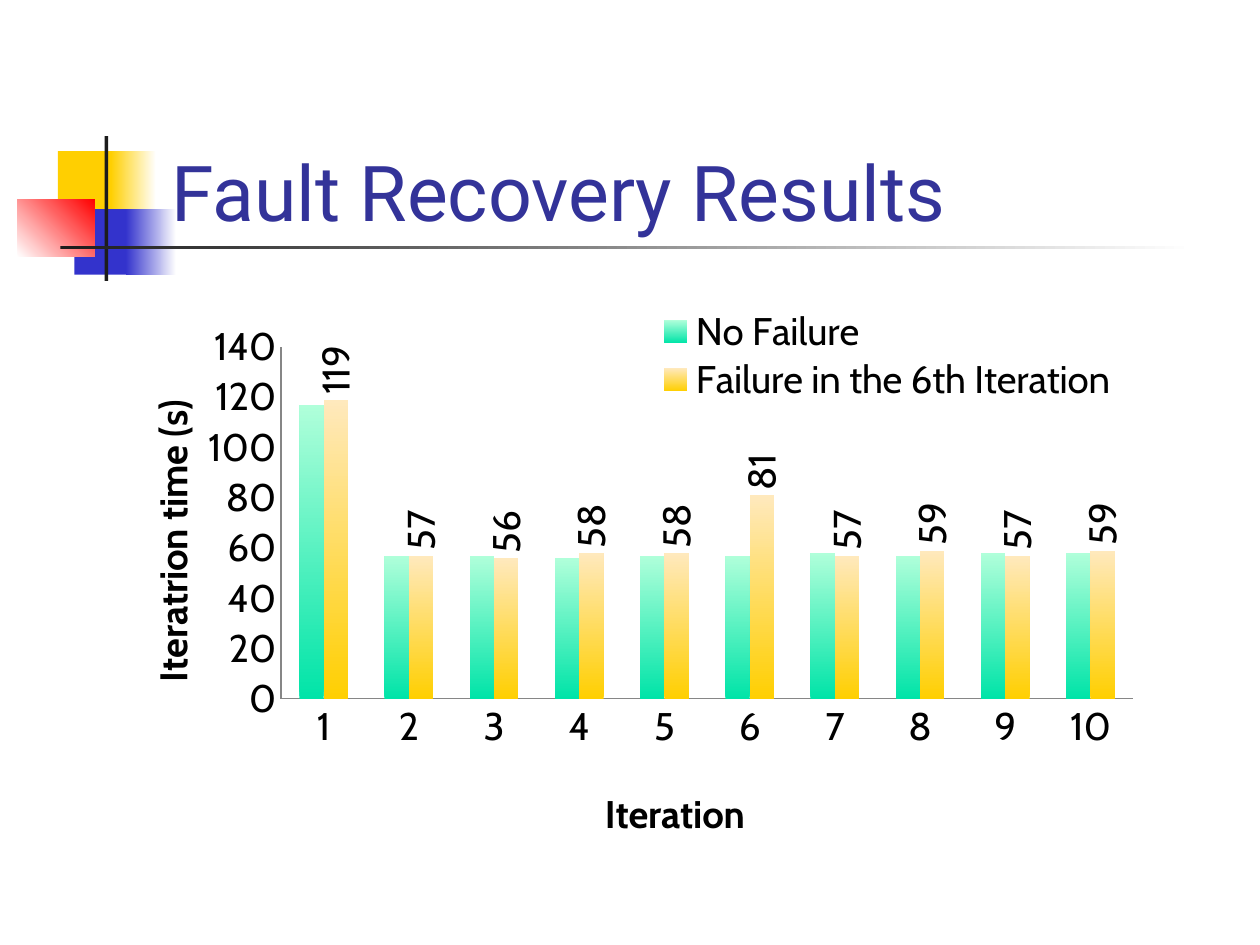
from pptx import Presentation
from pptx import util as u
from pptx.chart.data import CategoryChartData
from pptx.dml.color import RGBColor
from pptx.enum import chart as charts, shapes, text
from pptx.oxml import parse_xml
from pptx.oxml.ns import nsdecls, qn

COLORS = {
    "yellow": "FFCF01", "cream": "FFE9BD", "blue": "3333CC", "red": "FF0000",
    "green": "00E4A8", "mint": "B0FFDA", "ink": "1C1C1C", "title": "333399",
    "white": "FFFFFF", "black": "000000", "axis": "868686",
}


def color(name):
    return RGBColor.from_string(COLORS[name])


def paint(fill, start, end=None, angle=0):
    """Solid fill, or a gradient when an end colour is given."""
    if end is None:
        fill.solid()
        fill.fore_color.rgb = color(start)
        return
    fill.gradient()
    fill.gradient_angle = angle
    for stop, name in zip(fill.gradient_stops, (start, end)):
        stop.color.rgb = color(name)


def place(element, index, **fractions):
    """Give a chart part a manual layout in fractions of the chart."""
    old = element.find(qn("c:layout"))
    if old is not None:
        element.remove(old)
    target = '<c:layoutTarget val="inner"/>' if index == 0 else ""
    modes = '<c:xMode val="edge"/><c:yMode val="edge"/>'
    sizes = "".join(f'<c:{key} val="{value}"/>' for key, value in fractions.items())
    element.insert(index, parse_xml(
        f'<c:layout {nsdecls("c")}><c:manualLayout>{target}{modes}{sizes}'
        "</c:manualLayout></c:layout>"))


def turn_up(element):
    """Make the text of a chart part read upwards."""
    for body in element.iter(qn("a:bodyPr")):
        body.set("rot", "-5400000")
        body.set("vert", "horz")


class Slide:
    title_font, chart_font = "Roboto", "Cabin"
    title_size, chart_size = u.Pt(44), u.Pt(22)

    def __init__(self, deck):
        self.page = deck.slides.add_slide(deck.slide_layouts[6])

    def block(self, bounds, start, end=None, angle=0):
        box = self.page.shapes.add_shape(
            shapes.MSO_SHAPE.RECTANGLE, *map(u.Inches, bounds))
        box.shadow.inherit = False
        box.line.fill.background()
        paint(box.fill, start, end, angle)

    def title(self, bounds, words):
        box = self.page.shapes.add_textbox(*map(u.Inches, bounds))
        frame = box.text_frame
        frame.word_wrap = True
        frame.vertical_anchor = text.MSO_ANCHOR.BOTTOM
        para = frame.paragraphs[0]
        para.text = words
        para.font.name, para.font.size = self.title_font, self.title_size
        para.font.color.rgb = color("title")

    def style(self, font, bold=False):
        font.name, font.size, font.bold = self.chart_font, self.chart_size, bold
        font.color.rgb = color("black")

    def axis(self, axis, words, x, y):
        axis.has_major_gridlines = False
        axis.major_tick_mark = charts.XL_TICK_MARK.NONE
        axis.format.line.color.rgb = color("axis")
        self.style(axis.tick_labels.font)
        frame = axis.axis_title.text_frame
        frame.text = words
        self.style(frame.paragraphs[0].font, bold=True)
        place(axis.axis_title._element, 1, x=x, y=y)

    def columns(self, bounds, categories, series, gradients):
        data = CategoryChartData(number_format="#,##0")
        data.categories = categories
        for name, values in series.items():
            data.add_series(name, values)
        chart = self.page.shapes.add_chart(
            charts.XL_CHART_TYPE.COLUMN_CLUSTERED, *map(u.Inches, bounds), data).chart
        chart.has_title = False
        self.style(chart.font)
        plot = chart.plots[0]
        plot.vary_by_categories = False
        plot.gap_width, plot.overlap = 150, 0
        for bars, (start, end) in zip(plot.series, gradients):
            paint(bars.format.fill, start, end, 90)
        return chart

    def labels(self, bars):
        labels = bars.data_labels
        labels.show_value = True
        labels.number_format, labels.number_format_is_linked = "#,##0", False
        labels.position = charts.XL_LABEL_POSITION.OUTSIDE_END
        self.style(labels.font)
        turn_up(labels._element)

    def legend(self, chart, **fractions):
        chart.has_legend = True
        chart.legend.position = charts.XL_LEGEND_POSITION.CORNER
        chart.legend.include_in_layout = True
        self.style(chart.legend.font)
        place(chart.legend._element, 1, **fractions)


deck = Presentation()
deck.slide_width, deck.slide_height = u.Inches(10), u.Inches(7.5)
slide = Slide(deck)

# Corner ornament and title rule
slide.block((0.46, 1.2, 0.48, 0.52), "yellow")
slide.block((0.88, 1.2, 0.36, 0.52), "yellow", "white")
slide.block((0.59, 1.66, 0.46, 0.52), "blue")
slide.block((1, 1.66, 0.4, 0.52), "blue", "white")
slide.block((0.14, 1.58, 0.61, 0.46), "white", "red", 45)
slide.block((0.83, 1.08, 0.03, 1.15), "ink")
slide.block((0.48, 1.95, 9, 0.03), "ink", "white")

slide.title((1.26, 0.68, 8.52, 1.25), "Fault Recovery Results")

# Iteration times
chart = slide.columns(
    (0.67, 2.25, 8.67, 4.58),
    [str(number) for number in range(1, 11)],
    {"No Failure": (117, 57, 57, 56, 57, 57, 58, 57, 58, 58),
     "Failure in the 6th Iteration": (119, 57, 56, 58, 58, 81, 57, 59, 57, 59)},
    (("green", "mint"), ("yellow", "cream")))
slide.labels(chart.plots[0].series[1])
slide.axis(chart.category_axis, "Iteration", 0.47, 0.86)
slide.axis(chart.value_axis, "Iteratrion time (s)", 0.05, 0.19)
turn_up(chart.value_axis.axis_title._element)
chart.value_axis.minimum_scale, chart.value_axis.maximum_scale = 0, 140
chart.value_axis.major_unit = 20
slide.legend(chart, x=0.51, y=0.04, w=0.45, h=0.17)
place(chart._chartSpace.chart.plotArea, 0, x=0.18, y=0.11, w=0.78, h=0.61)

deck.save("out.pptx")
